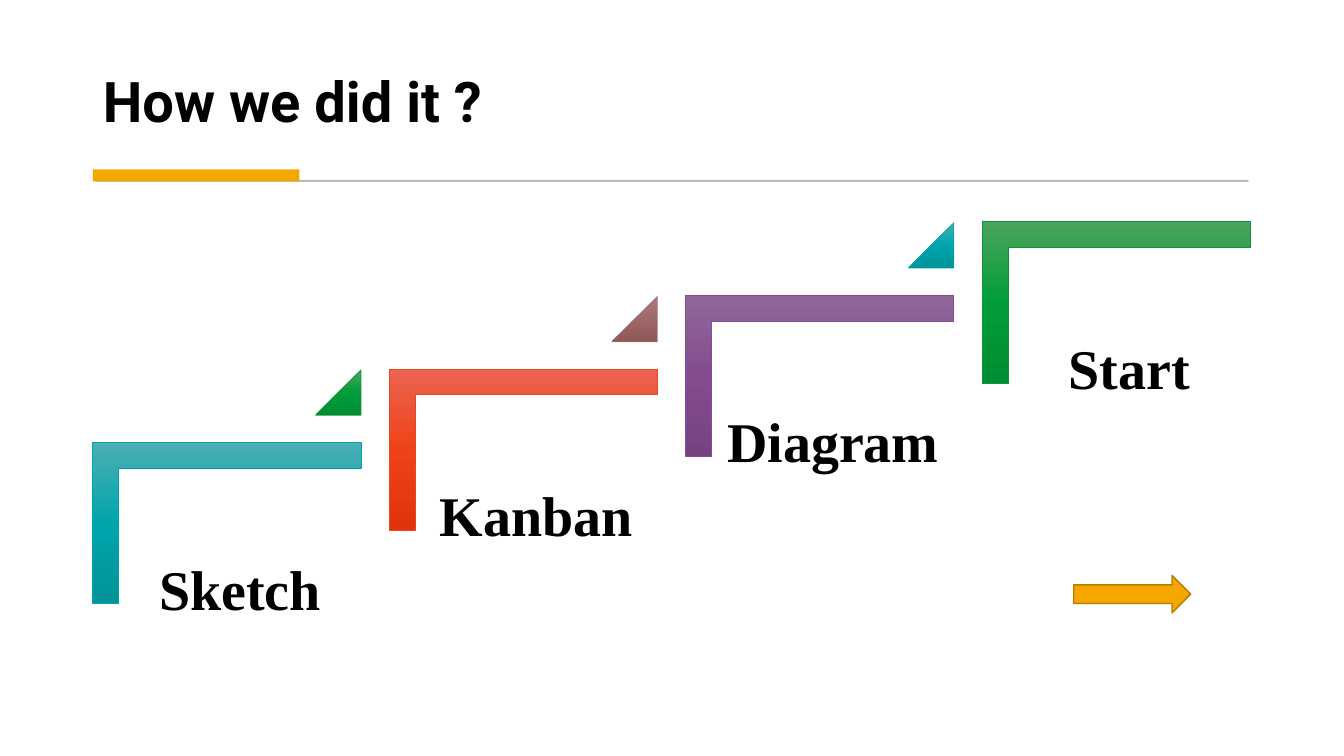
from copy import deepcopy

from pptx import Presentation
from pptx import util as u
from pptx.dml.color import RGBColor
from pptx.enum import shapes, text
from pptx.oxml import ns, xmlchemy

PX = 9144  # EMU per px, 100 px to the inch
AMBER = "F5A700"
GREY = "595959"
TEAL = ("4BAFB5", "00A5AB", "009398", "00A5AB")  # three stops, then outline
GREEN = ("4BA45B", "029D39", "008D32", "09963B")
RED = ("EB6451", "F04219", "E0340C", "E64823")
ROSE = ("A77C7C", "9F6868", "905959", "9C6A6A")
PURPLE = ("91679A", "844C8F", "774182", "824F8C")

# Label, bar colours, triangle colours, label width
STEPS = [
    ("Sketch", TEAL, GREEN, 240),
    ("Kanban", RED, ROSE, 240),
    ("Diagram", PURPLE, TEAL, 282),
    ("Start", GREEN, None, 240),
]


def px(*lengths):
    return [u.Emu(round(length * PX)) for length in lengths]


def color(hex_string):
    return RGBColor.from_string(hex_string)


def add_block(parent, kind, box, fill=None, line=None, width=0.5):
    block = parent.add_shape(kind, *px(*box))
    block.shadow.inherit = False
    if fill:
        block.fill.solid()
        block.fill.fore_color.rgb = color(fill)
    if line:
        block.line.color.rgb = color(line)
        block.line.width = u.Pt(width)
    else:
        block.line.fill.background()
    return block


def set_gradient(block, hues):
    """Three stops running down the page, whatever the block's rotation."""
    block.fill.gradient()
    block.fill.gradient_angle = 270
    gradient = block.element.spPr.find(ns.qn("a:gradFill"))
    gradient.set("rotWithShape", "0")
    stop_list = gradient.find(ns.qn("a:gsLst"))
    stop_list.append(deepcopy(stop_list[0]))
    for stop, position, hue in zip(block.fill.gradient_stops, (0, 0.5, 1), hues):
        stop.position = position
        stop.color.rgb = color(hue)


def set_alpha(block, percent):
    for tint in block.element.spPr.iter(ns.qn("a:srgbClr")):
        alpha = xmlchemy.OxmlElement("a:alpha")
        alpha.set("val", str(percent * 1000))
        tint.append(alpha)


def add_span(para, words, font):
    span = para.add_run()
    span.text = words
    span.font.name = font
    span.font.size = u.Pt(40)
    span.font.bold = True
    span.font.color.rgb = color("000000")


def add_heading(page, left, top, width, height):
    # Title
    title = page.shapes.title
    title.left, title.top, title.width, title.height = px(left, top, width, height)
    frame = title.text_frame
    frame.auto_size = text.MSO_AUTO_SIZE.NONE
    frame.vertical_anchor = text.MSO_ANCHOR.BOTTOM
    para = frame.paragraphs[0]
    para.alignment = text.PP_ALIGN.LEFT
    para.line_spacing = 0.9
    add_span(para, "How we did it ?", "Roboto")

    # Thin rule with its amber start
    rectangle = shapes.MSO_SHAPE.RECTANGLE
    rule = add_block(page.shapes, rectangle, (left + 3, top + 151, 1143, 1),
                     GREY, GREY, 0.75)
    set_alpha(rule, 30)
    add_block(page.shapes, rectangle, (left, top + 140, 205, 12), AMBER)


def add_step(stairs, left, top, label, bar_hues, triangle_hues, label_width):
    # Bar: an upright corner turned a quarter, 266 wide and 160 high on the page
    bar = add_block(stairs, shapes.MSO_SHAPE.CORNER,
                    (left + 53, top - 53, 160, 266), line=bar_hues[3])
    bar.rotation = 90
    bar.adjustments[0] = bar.adjustments[1] = 0.161
    set_gradient(bar, bar_hues)

    # Label, centred under the bar
    label_left = left + 146 - label_width / 2
    box = stairs.add_textbox(*px(label_left, top + 27, label_width, 211))
    frame = box.text_frame
    frame.word_wrap = True
    frame.margin_left, frame.margin_top, frame.margin_right, frame.margin_bottom = px(
        17, 17, 17, 17)
    para = frame.paragraphs[0]
    para.alignment = text.PP_ALIGN.CENTER
    para.line_spacing = 2.0
    para.space_after = u.Pt(14)
    add_span(para, label, "Times New Roman")

    # Triangle leading up to the next step
    if triangle_hues:
        triangle = add_block(stairs, shapes.MSO_SHAPE.ISOSCELES_TRIANGLE,
                             (left + 221, top - 72, 45, 45), line=triangle_hues[3])
        triangle.adjustments[0] = 1
        set_gradient(triangle, triangle_hues)


def add_staircase(page, left, top, run, rise):
    stairs = page.shapes.add_group_shape().shapes
    for index, step in enumerate(STEPS):
        add_step(stairs, left + run * index, top - rise * index, *step)


def main():
    deck = Presentation()
    deck.slide_width, deck.slide_height = px(1333, 750)
    page = deck.slides.add_slide(deck.slide_layouts[5])
    add_heading(page, 92, 28, 1149, 111)
    add_staircase(page, 92, 439, 294, 73)
    add_block(page.shapes, shapes.MSO_SHAPE.RIGHT_ARROW, (1065, 571, 116, 37),
              AMBER, "B57C00", 1)
    deck.save("out.pptx")


if __name__ == "__main__":
    main()
